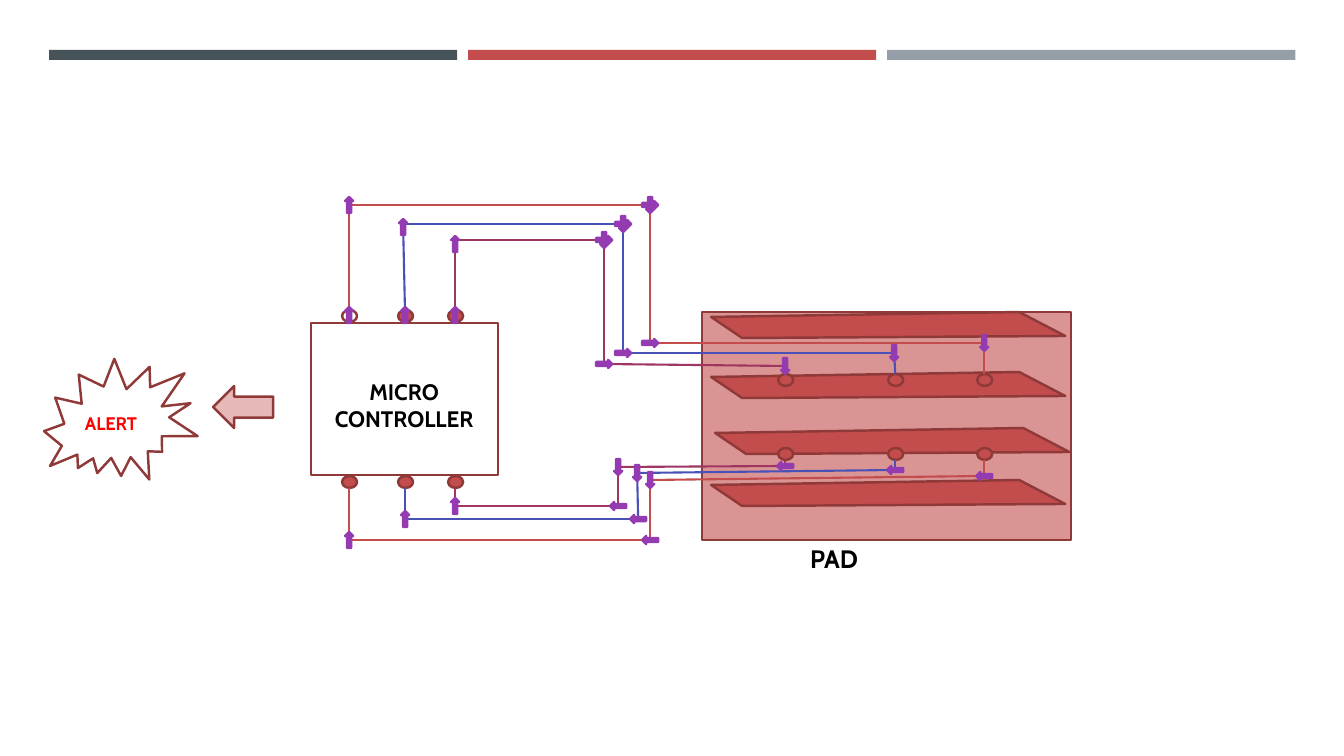
from itertools import pairwise

from lxml import etree
from pptx import Presentation
from pptx.dml.color import RGBColor
from pptx.enum.shapes import MSO_CONNECTOR, MSO_SHAPE
from pptx.enum.text import MSO_ANCHOR, PP_ALIGN
from pptx.oxml.ns import qn
from pptx.util import Inches, Pt

RECT, PIN = MSO_SHAPE.RECTANGLE, MSO_SHAPE.FLOWCHART_CONNECTOR
ARROW, BURST = MSO_SHAPE.RIGHT_ARROW, MSO_SHAPE.EXPLOSION2
STRAIGHT, ELBOW = MSO_CONNECTOR.STRAIGHT, MSO_CONNECTOR.ELBOW
TOP, BOTTOM = MSO_ANCHOR.TOP, MSO_ANCHOR.BOTTOM
LEFT, CENTER = PP_ALIGN.LEFT, PP_ALIGN.CENTER

SLATE = RGBColor(0x46, 0x53, 0x59)
RED = RGBColor(0xC3, 0x4D, 0x4D)
GREY = RGBColor(0x96, 0x9F, 0xA7)
PINK = RGBColor(0xDB, 0x94, 0x94)
PALE_PINK = RGBColor(0xE7, 0xB8, 0xB8)
MAROON = RGBColor(0x90, 0x39, 0x39)
DARK_RED = RGBColor(0xB7, 0x3E, 0x3E)
BLUE = RGBColor(0x48, 0x51, 0xB6)
PLUM = RGBColor(0x9F, 0x35, 0x61)
VIOLET = RGBColor(0x94, 0x3B, 0xB1)
ALERT_RED = RGBColor(0xFF, 0, 0)
WHITE = RGBColor(0xFF, 0xFF, 0xFF)
BLACK = RGBColor(0, 0, 0)

PX_PER_INCH = 100.8
UP, RIGHT, DOWN, BACK = 270, 0, 90, 180

# Colour, points from controller to pad, drop of the first corner arrow
OUT_WIRES = [
    (RED, [(349, 315), (349, 205), (650, 205), (650, 343), (984, 343), (984, 374)], 0),
    (BLUE, [(405, 315), (403, 224), (623, 224), (623, 353), (894, 353), (895, 374)], 3),
    (PLUM, [(455, 315), (455, 240), (604, 240), (604, 364), (785, 366), (785, 374)], 4),
]
RETURN_WIRES = [
    (PLUM, [(455, 488), (455, 506), (618, 506), (618, 467), (785, 466), (785, 461)], 0),
    (BLUE, [(405, 488), (405, 519), (638, 519), (637, 473), (895, 470), (895, 460)], 0),
    (RED, [(349, 488), (349, 540), (650, 540), (650, 480), (984, 476), (984, 460)], 0),
]
# Arrow directions as (index of wire point, rotation)
OUT_TURNS = [(0, UP), (1, UP), (2, RIGHT), (2, DOWN), (3, RIGHT), (4, DOWN)]
RETURN_TURNS = [(1, UP), (2, BACK), (3, DOWN), (4, BACK)]

SHEETS = [(711, 312), (711, 372), (715, 428), (711, 480)]
SHEET_OUTLINE = [(31, 26), (354, 24), (308, 0), (0, 5)]
CONTROLLER_PINS = (349, 405, 455)
PAD_PINS = (785, 895, 984)


def px(n):
    return Inches(n / PX_PER_INCH)


def paint(sp, fill, line=None):
    sp.shadow.inherit = False
    sp.fill.solid()
    sp.fill.fore_color.rgb = fill
    if line is None:
        sp.line.fill.background()
    else:
        sp.line.color.rgb = line
        sp.line.width = Pt(1.75)


def add_box(s, kind, box, fill, line=None, rotation=0):
    sp = s.shapes.add_shape(kind, *map(px, box))
    sp.rotation = rotation
    paint(sp, fill, line)


def add_sheet(s, left, top):
    points = [(px(left + x), px(top + y)) for x, y in SHEET_OUTLINE]
    builder = s.shapes.build_freeform(*points[0], scale=1.0)
    builder.add_line_segments(points[1:], close=True)
    paint(builder.convert_to_shape(), RED, MAROON)


def add_pin(s, x, y, fill=RED):
    add_box(s, PIN, (x - 7, y - 6, 15, 12), fill, MAROON)


def add_line(s, start, end, color, width=1.5, kind=STRAIGHT):
    line = s.shapes.add_connector(kind, *map(px, start + end))
    line.line.color.rgb = color
    line.line.width = Pt(width)
    etree.SubElement(line._element.spPr, qn("a:effectLst"))
    return line


def add_wire(s, color, points):
    for start, end in pairwise(points):
        add_line(s, start, end, color)


def add_wire_arrows(s, points, turns, drop):
    for i, rotation in turns:
        x, y = points[i]
        if i == 1:
            y += drop
        add_box(s, ARROW, (x - 8, y - 4, 16, 8), VIOLET, VIOLET, rotation)


def write(sp, text, size, color, align=CENTER, anchor=TOP):
    tf = sp.text_frame
    tf.word_wrap = True
    tf.vertical_anchor = anchor
    p = tf.paragraphs[0]
    p.alignment = align
    r = p.add_run()
    r.text = text
    for name, value in {"name": "Cabin", "size": Pt(size), "bold": True}.items():
        setattr(r.font, name, value)
    r.font.color.rgb = color


def add_label(s, box, text, size, color, align=CENTER):
    write(s.shapes.add_textbox(*map(px, box)), text, size, color, align)


def main():
    prs = Presentation()
    prs.slide_width, prs.slide_height = Inches(13.33), Inches(7.5)
    s = prs.slides.add_slide(prs.slide_layouts[5])

    # Header bars
    for i, color in enumerate((SLATE, RED, GREY)):
        add_box(s, RECT, (49 + 419 * i, 50, 408, 10), color)

    # Pad with its sheets
    add_box(s, RECT, (702, 312, 369, 228), PINK, MAROON)
    for left, top in SHEETS:
        add_sheet(s, left, top)
    tip = add_line(s, (785, 385), (784, 386), DARK_RED, 1, ELBOW)
    etree.SubElement(tip.line._get_or_add_ln(), qn("a:tailEnd"), type="triangle")

    # Controller and pins
    add_box(s, RECT, (311, 323, 187, 152), WHITE, MAROON)
    for x, fill in zip(CONTROLLER_PINS, (WHITE, RED, RED)):
        add_pin(s, x, 316, fill)
        add_pin(s, x, 482)
    for x in PAD_PINS:
        add_pin(s, x, 380)
        add_pin(s, x, 454)

    # Wires, then the direction arrows above them
    circuits = ((OUT_WIRES, OUT_TURNS), (RETURN_WIRES, RETURN_TURNS))
    for wires, _ in circuits:
        for color, points, _ in wires:
            add_wire(s, color, points)
    for wires, turns in circuits:
        for _, points, drop in wires:
            add_wire_arrows(s, points, turns, drop)
    add_label(s, (305, 373, 198, 65), "MICRO CONTROLLER", 16, BLACK)

    # Alert
    add_box(s, BURST, (52, 348, 141, 150), WHITE, MAROON, 32.2)
    add_label(s, (75, 407, 84, 32), "ALERT", 13, ALERT_RED, LEFT)
    add_box(s, ARROW, (213, 386, 60, 42), PALE_PINK, MAROON, 180)

    # Pad caption
    title = s.shapes.title
    geometry = {"left": 742, "top": 517, "width": 184, "height": 62}
    for name, value in geometry.items():
        setattr(title, name, px(value))
    write(title, "PAD", 18, BLACK, anchor=BOTTOM)

    prs.save("out.pptx")


main()
